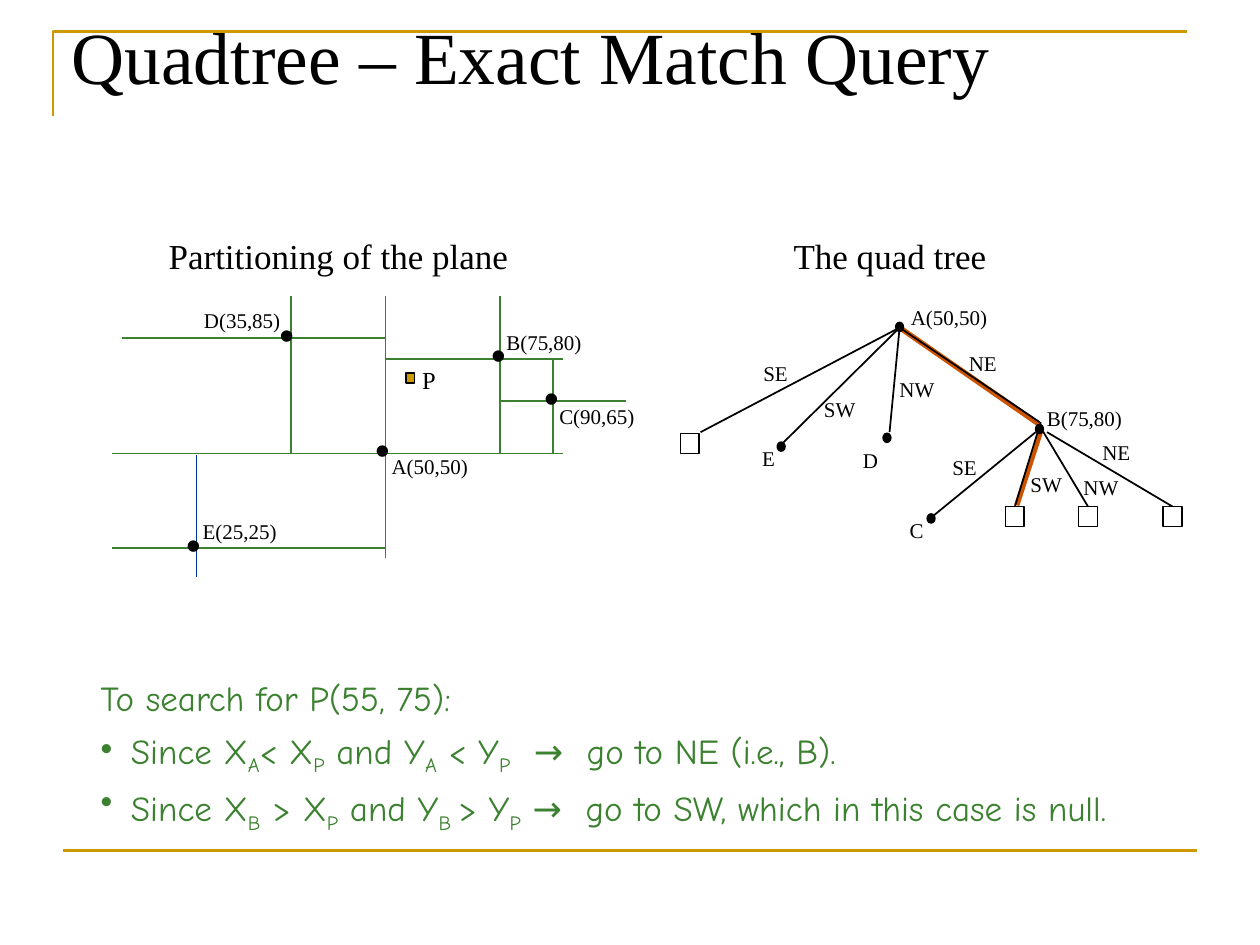
from lxml import etree
from pptx import Presentation
from pptx.dml.color import RGBColor
from pptx.enum.shapes import MSO_CONNECTOR, MSO_SHAPE
from pptx.enum.text import MSO_ANCHOR, MSO_AUTO_SIZE, PP_ALIGN
from pptx.oxml.ns import qn
from pptx.util import Inches, Pt

STRAIGHT = MSO_CONNECTOR.STRAIGHT
RECTANGLE, OVAL = MSO_SHAPE.RECTANGLE, MSO_SHAPE.OVAL
TOP, BOTTOM = MSO_ANCHOR.TOP, MSO_ANCHOR.BOTTOM
LEFT, CENTER = PP_ALIGN.LEFT, PP_ALIGN.CENTER
FIT_SHAPE = MSO_AUTO_SIZE.SHAPE_TO_FIT_TEXT
SERIF, HAND, SANS = "Times New Roman", "Comic Neue", "Arial"
COLORS = {"gold": "CC9900", "green": "3B812F", "blue": "003399",
          "orange": "CC5300", "black": "000000"}


def color(name):
    return RGBColor.from_string(COLORS[name])


def style_run(run, size, font, color_name):
    run.font.size = Pt(size)
    run.font.name = font
    run.font.color.rgb = color(color_name)


def add_text(slide, text, left, top, width, height=0.3, size=12, font=SERIF,
             align=LEFT, anchor=TOP, wrap=False):
    shape = slide.shapes.add_textbox(Inches(left), Inches(top), Inches(width), Inches(height))
    text_frame = shape.text_frame
    text_frame.word_wrap = wrap
    if not wrap:
        text_frame.auto_size = FIT_SHAPE
    text_frame.vertical_anchor = anchor
    text_frame.text = text
    paragraph = text_frame.paragraphs[0]
    paragraph.alignment = align
    style_run(paragraph.runs[0], size, font, "black")


def add_line(slide, x1, y1, x2, y2, color_name, width=1, target=None):
    line = slide.shapes.add_connector(STRAIGHT, Inches(x1), Inches(y1), Inches(x2), Inches(y2))
    line.line.color.rgb = color(color_name)
    line.line.width = Pt(width)
    etree.SubElement(line._element.spPr, qn("a:effectLst"))
    if target is not None:
        line.end_connect(target, 0)


def add_mark(slide, kind, left, top, width, height, fill=None):
    shape = slide.shapes.add_shape(kind, Inches(left), Inches(top), Inches(width), Inches(height))
    shape.shadow.inherit = False
    if fill:
        shape.fill.solid()
        shape.fill.fore_color.rgb = color(fill)
    else:
        shape.fill.background()
    shape.line.color.rgb = color("black")
    shape.line.width = Pt(1)
    return shape


def add_frame(slide, left, top, width, height):
    builder = slide.shapes.build_freeform(Inches(left), Inches(top + height))
    builder.add_line_segments([(Inches(left), Inches(top)),
                               (Inches(left + width), Inches(top))], close=False)
    corner = builder.convert_to_shape()
    corner.shadow.inherit = False
    corner.fill.background()
    corner.line.color.rgb = color("gold")
    corner.line.width = Pt(1.5)
    add_line(slide, 0.5, 6.75, 9.5, 6.75, "gold", 1.5)


def add_search_steps(slide, left, top, width, height):
    shape = slide.shapes.add_textbox(Inches(left), Inches(top), Inches(width), Inches(height))
    text_frame = shape.text_frame
    text_frame.word_wrap = True
    steps = [
        ["To search for P(55, 75):"],
        ["Since X", "A", "< X", "P", " and Y", "A", " < Y", "P", "  →  go to NE (i.e., B)."],
        ["Since X", "B", " > X", "P", " and Y", "B ", "> Y", "P",
         " →  go to SW, which in this case is null."],
    ]
    for index, parts in enumerate(steps):
        paragraph = text_frame.paragraphs[0] if index == 0 else text_frame.add_paragraph()
        paragraph.space_after = Pt(6)
        if index == 2:
            paragraph.line_spacing = 0.9
        if index:
            properties = paragraph._p.get_or_add_pPr()
            properties.set("marL", str(Inches(0.24)))
            properties.set("indent", str(-Inches(0.24)))
            bullet_color = etree.SubElement(properties, qn("a:buClr"))
            etree.SubElement(bullet_color, qn("a:srgbClr"), val=COLORS["green"])
            etree.SubElement(properties, qn("a:buChar"), char="•")
        for position, part in enumerate(parts):
            run = paragraph.add_run()
            run.text = part
            style_run(run, 20, HAND, "green")
            if position % 2:
                run._r.get_or_add_rPr().set("baseline", "-25000")


def add_plane(slide, left, top):
    add_text(slide, "Partitioning of the plane", left + 0.44, top + 0.01, 2.9, 0.43, 20)
    borders = [
        (0.17, 0.88, 2.26, 0.88), (1.51, 0.55, 1.51, 1.8), (2.26, 0.55, 2.26, 2.63),
        (0.09, 1.8, 3.67, 1.8), (2.26, 1.05, 3.67, 1.05), (0.09, 2.55, 2.26, 2.55),
        (3.17, 0.55, 3.17, 1.8), (3.17, 1.38, 4.17, 1.38), (3.59, 1.05, 3.59, 1.8),
    ]
    for x1, y1, x2, y2 in borders:
        add_line(slide, left + x1, top + y1, left + x2, top + y2, "green")
    add_line(slide, left + 0.76, top + 1.81, left + 0.76, top + 2.78, "blue")
    points = [
        ("A(50,50)", 2.21, 1.75, 2.08, 1.51), ("B(75,80)", 3.12, 0.77, 3.0, 0.76),
        ("C(90,65)", 3.54, 1.35, 3.42, 1.1), ("D(35,85)", 0.72, 0.59, 1.32, 0.6),
        ("E(25,25)", 0.71, 2.27, 0.58, 2.27),
    ]
    for name, label_x, label_y, dot_x, dot_y in points:
        add_text(slide, name, left + label_x, top + label_y, 0.81)
        add_text(slide, "•", left + dot_x, top + dot_y, 0.34, 0.5, 24, SANS)
    add_mark(slide, RECTANGLE, left + 2.42, top + 1.16, 0.07, 0.08, "gold")
    add_text(slide, "P", left + 2.45, top + 1.05, 0.31, 0.34, 14, align=CENTER)


def add_tree(slide, left, top):
    add_text(slide, "The quad tree", left + 0.8, top + 0.01, 1.73, 0.43, 20)
    for x1, y1, x2, y2 in [(1.74, 0.8, 2.85, 1.57), (2.86, 1.62, 2.67, 2.21)]:
        add_line(slide, left + x1, top + y1, left + x2, top + y2, "orange", 3)
    for x, y in [(1.96, 2.28), (1.61, 1.64), (0.77, 1.71), (2.82, 1.57), (1.71, 0.76)]:
        add_mark(slide, OVAL, left + x, top + y, 0.06, 0.07, "black")
    add_mark(slide, RECTANGLE, left, top + 1.64, 0.15, 0.16)
    empty_sw, empty_nw, empty_ne = [
        add_mark(slide, RECTANGLE, left + x, top + 2.22, 0.15, 0.16)
        for x in (2.58, 3.16, 3.83)]
    for x, y in [(0.16, 1.63), (0.82, 1.71), (1.66, 1.63), (2.85, 1.55)]:
        add_line(slide, left + 1.74, top + 0.8, left + x, top + y, "black")
    branches = [
        (2.82, 1.63, 2.0, 2.3, None), (2.86, 1.55, 2.66, 2.22, empty_sw),
        (2.87, 1.61, 3.24, 2.22, empty_nw), (2.91, 1.63, 3.91, 2.22, empty_ne),
    ]
    for x1, y1, x2, y2, target in branches:
        add_line(slide, left + x1, top + y1, left + x2, top + y2, "black", target=target)
    labels = [
        ("SE", 0.56, 1.01, 0.4), ("SW", 1.04, 1.3, 0.45), ("NW", 1.64, 1.14, 0.48),
        ("NE", 2.19, 0.93, 0.42), ("SE", 2.06, 1.76, 0.4), ("SW", 2.68, 1.89, 0.45),
        ("NW", 3.1, 1.92, 0.48), ("NE", 3.25, 1.64, 0.42), ("A(50,50)", 1.73, 0.57, 0.81),
        ("B(75,80)", 2.81, 1.37, 0.81), ("C", 1.72, 2.26, 0.31), ("D", 1.35, 1.7, 0.32),
        ("E", 0.55, 1.69, 0.3),
    ]
    for name, x, y, width in labels:
        add_text(slide, name, left + x, top + y, width)


def main():
    presentation = Presentation()
    presentation.slide_width = Inches(10)
    presentation.slide_height = Inches(7.5)
    slide = presentation.slides.add_slide(presentation.slide_layouts[6])
    add_frame(slide, 0.42, 0.25, 9, 0.67)
    add_text(slide, "Quadtree – Exact Match Query", 0.47, 0.43, 8.5, 0.41, 42,
             anchor=BOTTOM, wrap=True)
    add_search_steps(slide, 0.7, 5.32, 8.72, 1.32)
    add_plane(slide, 0.8, 1.8)
    add_tree(slide, 5.4, 1.8)
    presentation.save("out.pptx")


if __name__ == "__main__":
    main()
